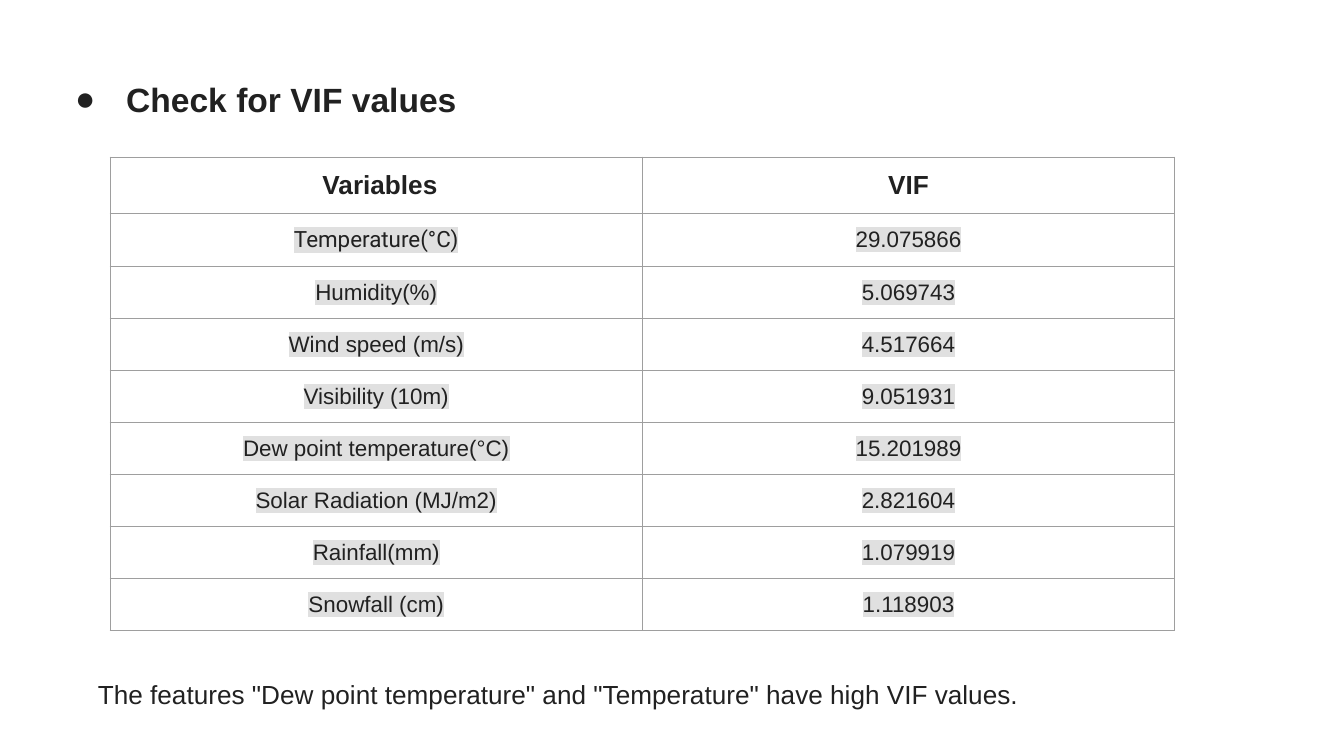
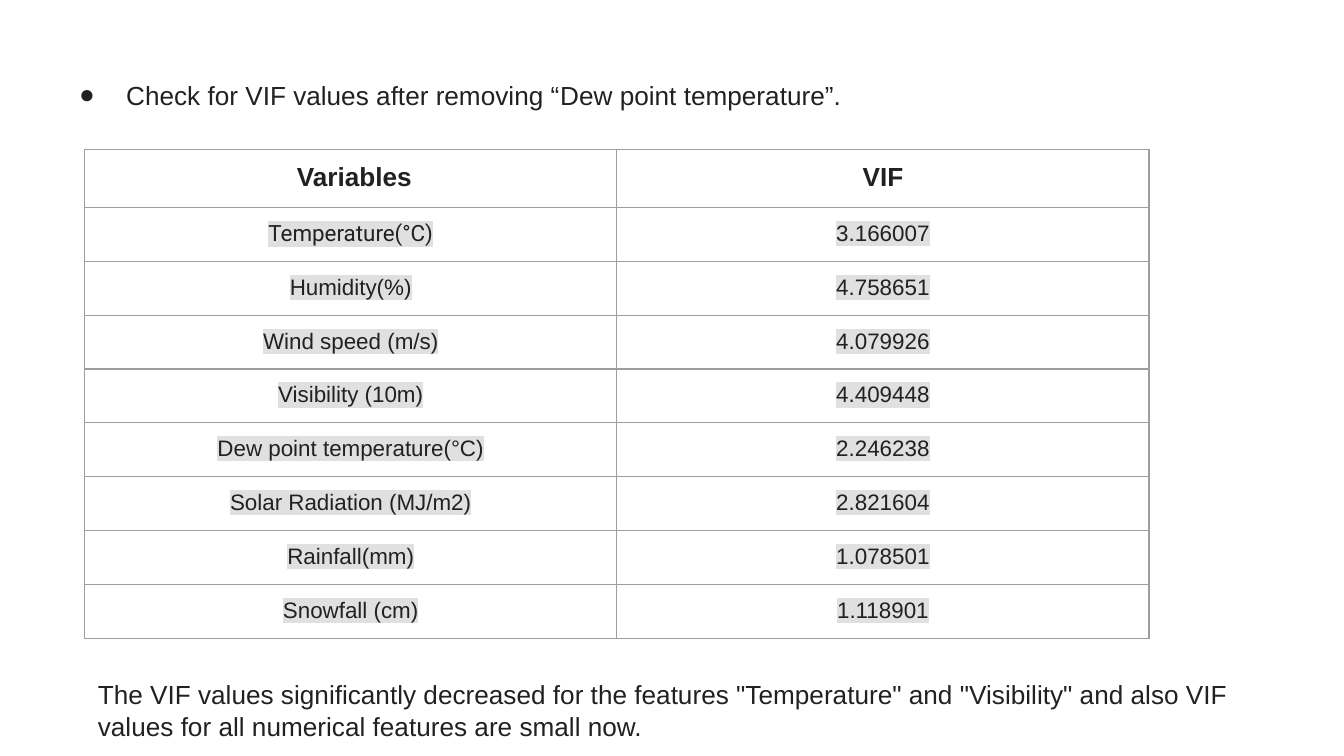
from lxml import etree
from pptx import Presentation
from pptx.dml.color import RGBColor
from pptx.enum.text import MSO_ANCHOR, MSO_AUTO_SIZE, PP_ALIGN
from pptx.oxml.ns import qn
from pptx.util import Inches, Pt

TOP = MSO_ANCHOR.TOP
GROW = MSO_AUTO_SIZE.SHAPE_TO_FIT_TEXT
FIXED = MSO_AUTO_SIZE.NONE
LEFT, CENTER = PP_ALIGN.LEFT, PP_ALIGN.CENTER

COLORS = {"text": "212121", "paper": "FFFFFF", "value": "E0E0E0", "border": "9E9E9E"}
FONT, FIRST_LABEL_FONT = "Arial", "Roboto"
WIDTH, HEIGHT = Inches(10), Inches(5.625)
PAD = Inches(0.1)
BORDER = Pt(0.75)

VARIABLES = [
    "Temperature(°C)", "Humidity(%)", "Wind speed (m/s)", "Visibility (10m)",
    "Dew point temperature(°C)", "Solar Radiation (MJ/m2)", "Rainfall(mm)", "Snowfall (cm)",
]
VIF_ALL = [
    "29.075866", "5.069743", "4.517664", "9.051931",
    "15.201989", "2.821604", "1.079919", "1.118903",
]
VIF_REDUCED = [
    "3.166007", "4.758651", "4.079926", "4.409448",
    "2.246238", "2.821604", "1.078501", "1.118901",
]


def col(n):
    return round(WIDTH * n / 100)


def row(n):
    return round(HEIGHT * n / 100)


def add_color(parent, name):
    etree.SubElement(parent, qn("a:srgbClr"), val=COLORS[name])


def style_run(r, size, bold=False, font=FONT, highlight=None):
    r.font.size = Pt(size)
    r.font.bold = bold
    r.font.name = font
    r.font.color.rgb = RGBColor.from_string(COLORS["text"])
    if highlight:
        mark = etree.Element(qn("a:highlight"))
        add_color(mark, highlight)
        r.font._element.find(qn("a:solidFill")).addnext(mark)


def add_bullet(p, hang):
    pPr = p._p.get_or_add_pPr()
    pPr.set("marL", str(Inches(0.5)))
    pPr.set("indent", str(-Inches(hang)))
    add_color(etree.SubElement(pPr, qn("a:buClr")), "text")
    etree.SubElement(pPr, qn("a:buFont"), typeface=FONT)
    etree.SubElement(pPr, qn("a:buChar"), char="●")


def add_text_box(s, left, top, width, height, auto_size):
    tf = s.shapes.add_textbox(left, top, width, height).text_frame
    tf.word_wrap = True
    tf.auto_size = auto_size
    tf.vertical_anchor = TOP
    tf.margin_left = tf.margin_right = tf.margin_top = tf.margin_bottom = PAD
    p = tf.paragraphs[0]
    p.alignment = LEFT
    return p


def add_title(s, parts, size, bold, hang):
    p = add_text_box(s, col(3.4), row(8.7), col(93.2), row(11.2), FIXED)
    add_bullet(p, hang)
    for text, highlight in parts:
        r = p.add_run()
        r.text = text
        style_run(r, size, bold, highlight=highlight)


def add_conclusion(s, text):
    p = add_text_box(s, col(6.3), row(88), col(87.4), row(11.9), GROW)
    p.text = text
    style_run(p.runs[0], 14, highlight="paper")


def add_borders(cell):
    tcPr = cell._tc.get_or_add_tcPr()
    for side in ("lnL", "lnR", "lnT", "lnB"):
        ln = etree.SubElement(tcPr, qn(f"a:{side}"), w=str(BORDER))
        add_color(etree.SubElement(ln, qn("a:solidFill")), "border")


def fill_cell(cell, text, **style):
    cell.margin_left = cell.margin_right = cell.margin_top = cell.margin_bottom = PAD
    cell.vertical_anchor = TOP
    add_borders(cell)
    cell.fill.background()
    p = cell.text_frame.paragraphs[0]
    p.text = text
    p.alignment = CENTER
    style_run(p.runs[0], **style)


def add_vif_table(s, left, top, values):
    records = [(" Variables", "VIF"), *zip(VARIABLES, values)]
    heights = [row(6.6)] + [row(6.26)] * len(values)
    table = s.shapes.add_table(len(records), 2, left, top, 2 * col(39.6), sum(heights)).table
    table.first_row = table.horz_banding = False
    for column in table.columns:
        column.width = col(39.6)
    for i, (record, height) in enumerate(zip(records, heights)):
        table.rows[i].height = height
        for j, text in enumerate(record):
            if i == 0:
                style = {"size": 14, "bold": True, "highlight": "paper"}
            else:
                font = FIRST_LABEL_FONT if (i, j) == (1, 0) else FONT
                style = {"size": 12, "font": font, "highlight": "value"}
            fill_cell(table.cell(i, j), text, **style)


def add_slide(prs):
    s = prs.slides.add_slide(prs.slide_layouts[6])
    s.background.fill.solid()
    s.background.fill.fore_color.rgb = RGBColor.from_string(COLORS["paper"])
    return s


def main():
    prs = Presentation()
    prs.slide_width, prs.slide_height = WIDTH, HEIGHT

    s = add_slide(prs)
    add_title(s, [("Check for VIF values", None)], 18, True, 0.38)
    add_vif_table(s, col(8.2), row(20.8), VIF_ALL)
    add_conclusion(s, 'The features "Dew point temperature" and "Temperature" have high VIF values.')

    s = add_slide(prs)
    add_title(s, [("Check for VIF values after removing “", None),
                  ("Dew point temperature”.", "paper")], 14, False, 0.35)
    add_vif_table(s, col(6.3), row(19.75), VIF_REDUCED)
    add_conclusion(s, 'The VIF values significantly decreased for the features "Temperature" and '
                      '"Visibility" and also VIF values for all numerical features are small now.')

    prs.save("out.pptx")


main()
